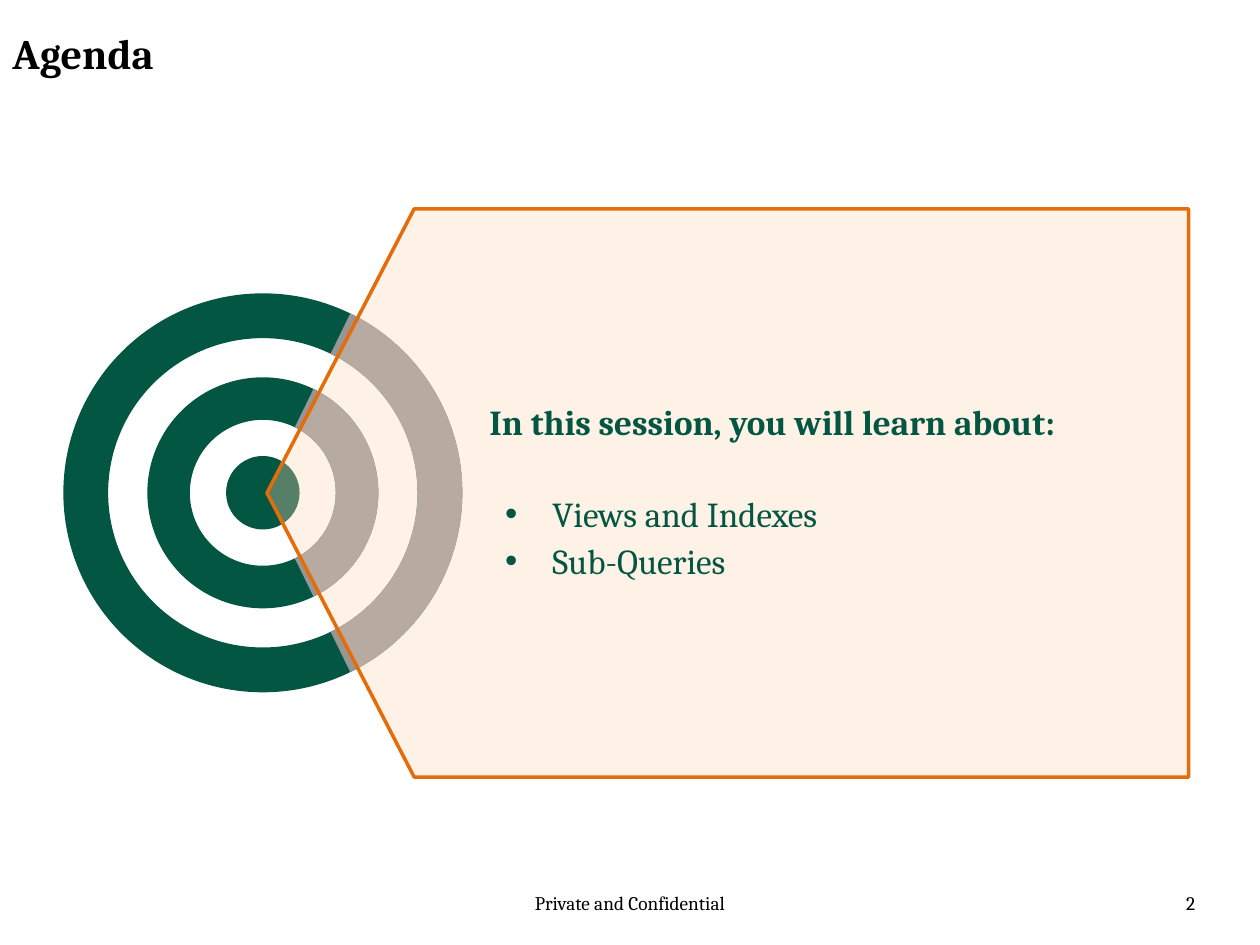
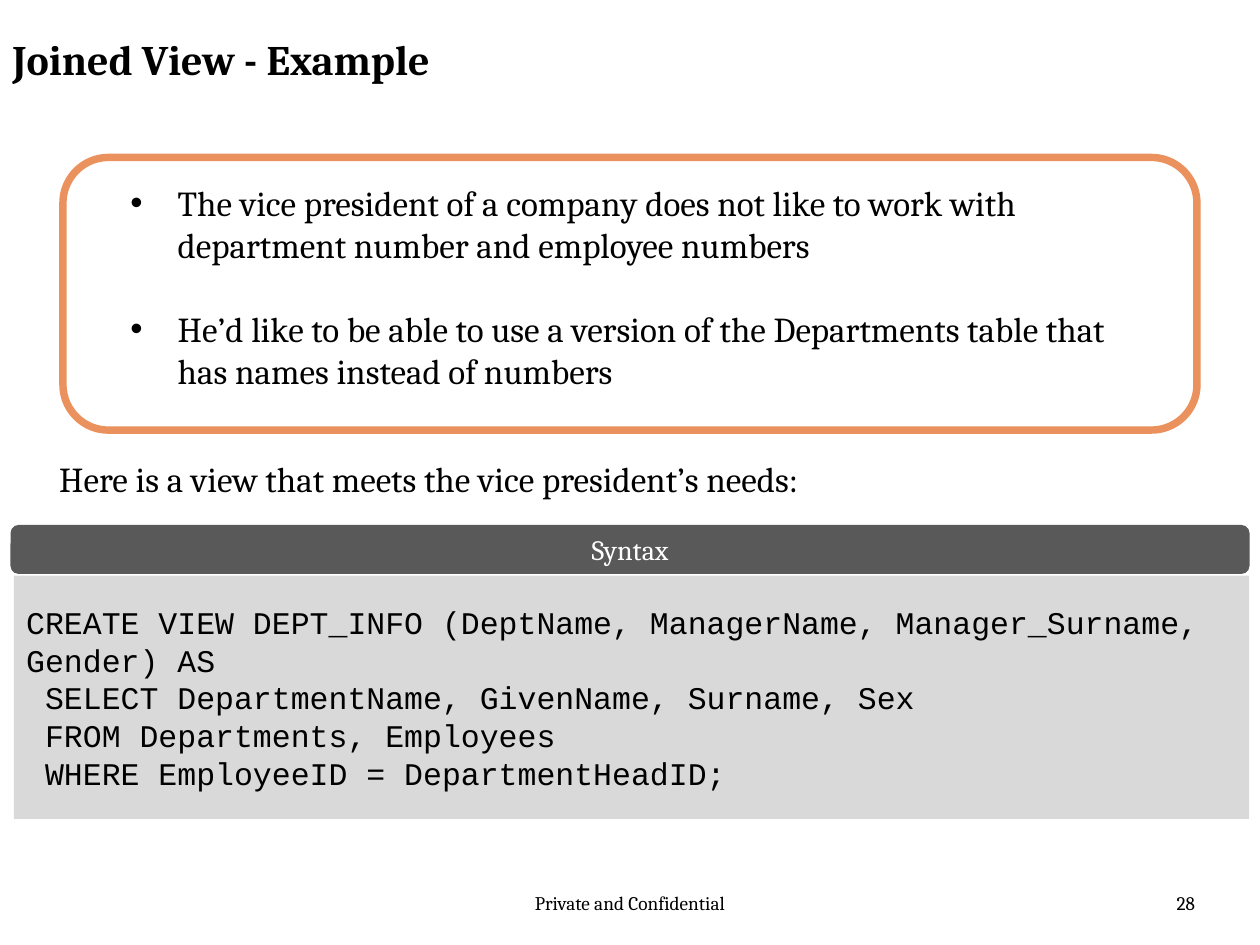
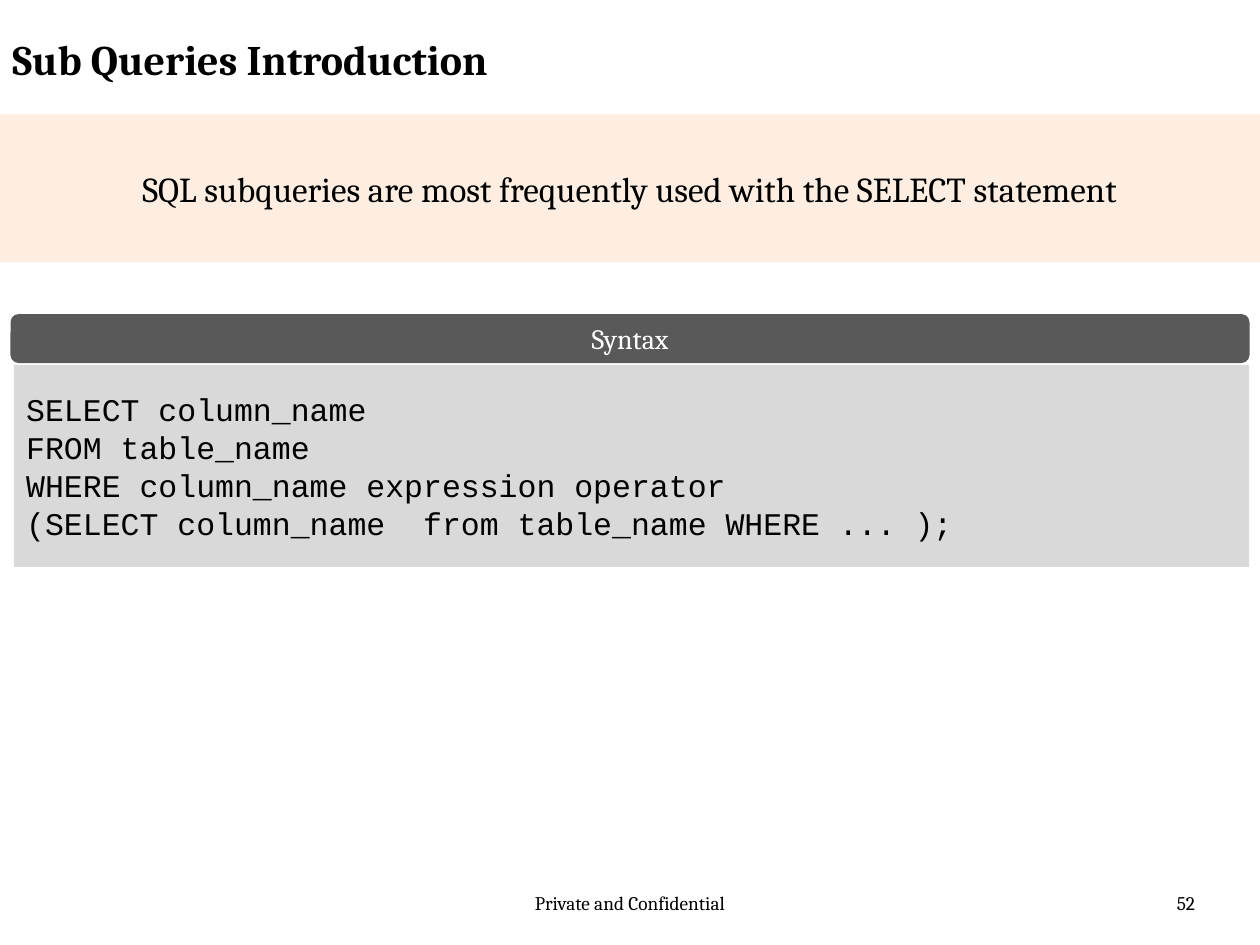
from lxml.etree import SubElement
from pptx import Presentation
from pptx.dml.color import RGBColor
from pptx.enum.shapes import MSO_SHAPE as Shape
from pptx.enum.text import MSO_ANCHOR as Anchor, PP_ALIGN as Align
from pptx.oxml.ns import qn
from pptx.util import Pt

COLORS = {
    "black": "000000",
    "white": "FFFFFF",
    "green": "035642",
    "grey": "969696",
    "peach": "FCD5B5",
    "cream": "FDEADA",
    "orange": "E46C0A",
    "soft_orange": "EA915D",
    "bar": "595959",
    "code": "D9D9D9",
}
SERIF = "Cambria"
MONO = "Courier New"
TARGET_CENTER = (150.2, 281.6)
SECTOR_ANGLE = 64


def color(name):
    return RGBColor.from_string(COLORS[name])


def add_figure(page, kind, bounds, fill=None, line=None, line_width=0, opacity=None):
    """Add a preset shape; opacity is a percentage applied to the fill."""
    figure = page.shapes.add_shape(kind, *map(Pt, bounds))
    figure.shadow.inherit = False
    if fill:
        figure.fill.solid()
        figure.fill.fore_color.rgb = color(fill)
    else:
        figure.fill.background()
    if opacity is not None:
        fill_color = figure._element.spPr.find(qn("a:solidFill"))[0]
        SubElement(fill_color, qn("a:alpha"), val=str(opacity * 1000))
    if line:
        figure.line.color.rgb = color(line)
        figure.line.width = Pt(line_width)
    else:
        figure.line.fill.background()
    return figure


def add_bullet(para, left, hanging):
    props = para._p.get_or_add_pPr()
    props.set("marL", str(Pt(left)))
    props.set("indent", str(-Pt(hanging)))
    SubElement(props, qn("a:buFont"), typeface="Arial")
    SubElement(props, qn("a:buChar"), char="•")


def write(shape, lines, size, ink="black", font=SERIF, bold=False,
          align=Align.LEFT, anchor=Anchor.TOP, bullet=None, gap=0):
    """Fill a shape with one paragraph per line; gap separates paragraphs."""
    frame = shape.text_frame
    frame.word_wrap = True
    frame.vertical_anchor = anchor
    for index, line in enumerate(lines):
        para = frame.add_paragraph() if index else frame.paragraphs[0]
        para.text = line
        para.alignment = align
        if bullet:
            add_bullet(para, *bullet)
        if index and gap:
            para.space_before = Pt(gap)
        style_font(para, size, ink, font, bold)
    return frame


def style_font(para, size, ink, font=SERIF, bold=False):
    para.font.size = Pt(size)
    para.font.name = font
    para.font.bold = bold
    para.font.color.rgb = color(ink)


def add_text(page, bounds, lines, size, **style):
    box = page.shapes.add_textbox(*map(Pt, bounds))
    write(box, lines, size, **style)


def add_page(deck, title, number, title_top=15.8):
    page = deck.slides.add_slide(deck.slide_layouts[6])
    add_text(page, (246, 505.5, 228, 28.8), ["Private and Confidential"], 11,
             align=Align.CENTER)
    add_text(page, (522, 505.5, 168, 28.8), [str(number)], 11, align=Align.RIGHT)
    add_text(page, (0, title_top, 546.5, 44.6), [title], 24, bold=True)
    return page


def add_target(page):
    """Draw the concentric rings, with a grey sector on the right of each."""
    def centered(diameter):
        return [center - diameter / 2 for center in TARGET_CENTER] + [diameter] * 2

    add_figure(page, Shape.OVAL, centered(42), "green")
    rings = [(132, 24.3), (228, 25.6)]
    for diameter, thickness in rings:
        ring = add_figure(page, Shape.DONUT, centered(diameter), "green")
        ring.adjustments[0] = thickness / diameter
    for diameter, thickness in rings:
        sector = add_figure(page, Shape.BLOCK_ARC, centered(diameter), "grey")
        for index, angle in enumerate((360 - SECTOR_ANGLE, SECTOR_ANGLE)):
            sector.adjustments[index] = angle * 0.6
        sector.adjustments[2] = thickness / diameter


def add_agenda_panel(page, heading, topics):
    panel = add_figure(page, Shape.PENTAGON, (152.6, 119.3, 526.6, 324.7),
                       "peach", "orange", 2, opacity=33)
    panel.adjustments[0] = 0.259
    panel._element.spPr.find(qn("a:xfrm")).set("flipH", "1")
    frame = panel.text_frame
    frame.margin_left, frame.margin_right = Pt(85), Pt(5.8)
    frame.margin_top = frame.margin_bottom = 0
    frame.word_wrap = True
    frame.vertical_anchor = Anchor.MIDDLE
    intro = frame.paragraphs[0]
    intro.text = heading
    intro.alignment = Align.LEFT
    intro.line_spacing = 0.9
    style_font(intro, 20, "green", bold=True)
    for index, topic in enumerate(topics):
        para = frame.add_paragraph()
        para.text = topic
        para.alignment = Align.LEFT
        para.line_spacing = 1.1
        add_bullet(para, 36, 27)
        if index == 0:
            para.space_before = Pt(26.3)
        style_font(para, 20, "green")


def add_syntax(page, top, height, code):
    bar = add_figure(page, Shape.ROUNDED_RECTANGLE, (6, top, 708, 28), "bar")
    write(bar, ["Syntax"], 16, ink="white", align=Align.CENTER, anchor=Anchor.MIDDLE)
    panel = add_figure(page, Shape.RECTANGLE, (7.9, top + 29, 706, height), "code")
    write(panel, code, 18, font=MONO, anchor=Anchor.MIDDLE)


def build_agenda(deck):
    page = add_page(deck, "Agenda", 2, title_top=12.2)
    add_target(page)
    add_agenda_panel(page, "In this session, you will learn about:",
                     ["Views and Indexes", "Sub-Queries"])


def build_joined_view(deck):
    page = add_page(deck, "Joined View - Example", 28)
    add_figure(page, Shape.ROUNDED_RECTANGLE, (36, 90, 648, 155.8),
               line="soft_orange", line_width=4.25)
    add_text(page, (67.5, 100.2, 585, 119.5), [
        "The vice president of a company does not like to work with "
        "department number and employee numbers",
        "He’d like to be able to use a version of the Departments table "
        "that has names instead of numbers",
    ], 20, bullet=(27, 27), gap=24)
    add_syntax(page, 300, 139, [
        "CREATE VIEW DEPT_INFO (DeptName, ManagerName, Manager_Surname, Gender) AS",
        " SELECT DepartmentName, GivenName, Surname, Sex",
        " FROM Departments, Employees",
        " WHERE EmployeeID = DepartmentHeadID;",
    ])
    add_text(page, (26.8, 257.8, 648, 31.5),
             ["Here is a view that meets the vice president’s needs:"], 20)


def build_sub_queries(deck):
    page = add_page(deck, "Sub Queries Introduction", 52)
    band = add_figure(page, Shape.RECTANGLE, (0, 65.4, 720, 84.6), "cream", opacity=79)
    write(band, ["SQL subqueries are most frequently used with the SELECT statement"],
          20, align=Align.CENTER, anchor=Anchor.MIDDLE)
    add_syntax(page, 179.5, 115.4, [
        "SELECT column_name",
        "FROM table_name",
        "WHERE column_name expression operator",
        "(SELECT column_name  from table_name WHERE ... );",
    ])


def main():
    deck = Presentation()
    deck.slide_width, deck.slide_height = Pt(720), Pt(540)
    build_agenda(deck)
    build_joined_view(deck)
    build_sub_queries(deck)
    deck.save("out.pptx")


if __name__ == "__main__":
    main()
